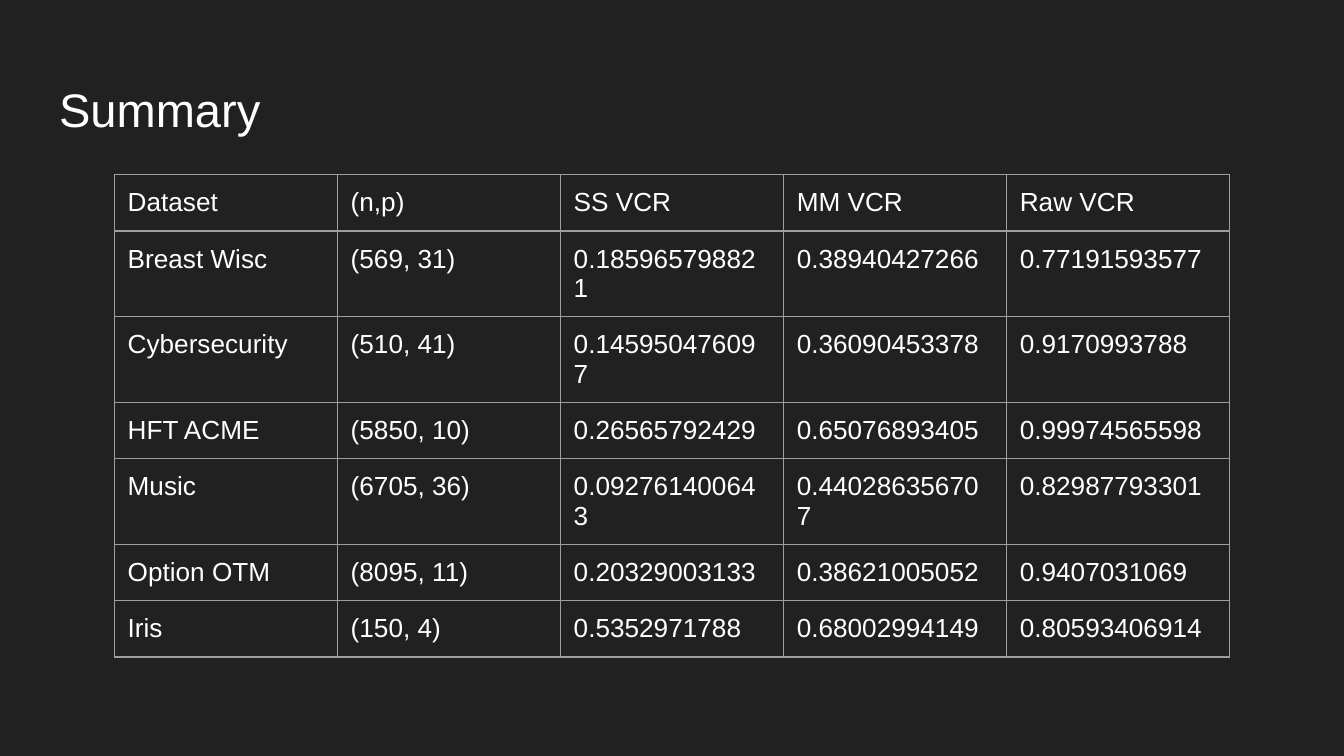
from lxml import etree
from pptx import Presentation
from pptx.dml.color import RGBColor
from pptx.enum import text
from pptx.oxml import ns
from pptx.util import Pt

COLORS = {"background": "212121", "text": "FFFFFF", "border": "9E9E9E"}
INSET = Pt(7.2)
COL_WIDTH, ROW_HEIGHT = 119.5, 30

ROWS = [
    ("Dataset", "(n,p)", "SS VCR", "MM VCR", "Raw VCR"),
    ("Breast Wisc", "(569, 31)", "0.185965798821", "0.38940427266", "0.77191593577"),
    ("Cybersecurity", "(510, 41)", "0.145950476097", "0.36090453378", "0.9170993788"),
    ("HFT ACME", "(5850, 10)", "0.26565792429", "0.65076893405", "0.99974565598"),
    ("Music", "(6705, 36)", "0.092761400643", "0.440286356707", "0.82987793301"),
    ("Option OTM", "(8095, 11)", "0.20329003133", "0.38621005052", "0.9407031069"),
    ("Iris", "(150, 4)", "0.5352971788", "0.68002994149", "0.80593406914"),
]


def write_text(tf, content, size=14, color="text", font="Arial"):
    p = tf.paragraphs[0]
    p.alignment = text.PP_ALIGN.LEFT
    r = p.add_run()
    r.text = content
    r.font.size = Pt(size)
    r.font.name = font
    r.font.color.rgb = RGBColor.from_string(COLORS[color])


def set_insets(box):
    box.margin_left = box.margin_right = INSET
    box.margin_top = box.margin_bottom = INSET


def set_borders(cell, color="border", width=0.75):
    tc_pr = cell._tc.get_or_add_tcPr()
    for i, side in enumerate(("lnL", "lnR", "lnT", "lnB")):
        ln = etree.Element(ns.qn(f"a:{side}"), w=str(Pt(width)))
        fill = etree.SubElement(ln, ns.qn("a:solidFill"))
        etree.SubElement(fill, ns.qn("a:srgbClr"), val=COLORS[color])
        tc_pr.insert(i, ln)


def add_title(s, content):
    sp = s.shapes.title
    sp.left, sp.top, sp.width, sp.height = Pt(24.5), Pt(35.3), Pt(671), Pt(45.4)
    tf = sp.text_frame
    tf.word_wrap = True
    tf.auto_size = text.MSO_AUTO_SIZE.NONE
    tf.vertical_anchor = text.MSO_ANCHOR.MIDDLE
    set_insets(tf)
    write_text(tf, content, size=25.2)


def add_summary_table(s, rows, left, top):
    n_rows, n_cols = len(rows), len(rows[0])
    table = s.shapes.add_table(
        n_rows, n_cols, Pt(left), Pt(top),
        Pt(n_cols * COL_WIDTH), Pt(n_rows * ROW_HEIGHT),
    ).table
    table.first_row = table.horz_banding = False
    for column in table.columns:
        column.width = Pt(COL_WIDTH)
    for row, values in zip(table.rows, rows):
        row.height = Pt(ROW_HEIGHT)
        for cell, value in zip(row.cells, values):
            cell.fill.background()
            cell.vertical_anchor = text.MSO_ANCHOR.TOP
            set_insets(cell)
            set_borders(cell)
            write_text(cell.text_frame, value)


def main():
    prs = Presentation()
    prs.slide_width, prs.slide_height = Pt(720), Pt(405)
    s = prs.slides.add_slide(prs.slide_layouts[5])
    s.background.fill.solid()
    s.background.fill.fore_color.rgb = RGBColor.from_string(COLORS["background"])
    add_title(s, "Summary")
    add_summary_table(s, ROWS, left=61.2, top=93.6)
    prs.save("out.pptx")


if __name__ == "__main__":
    main()
